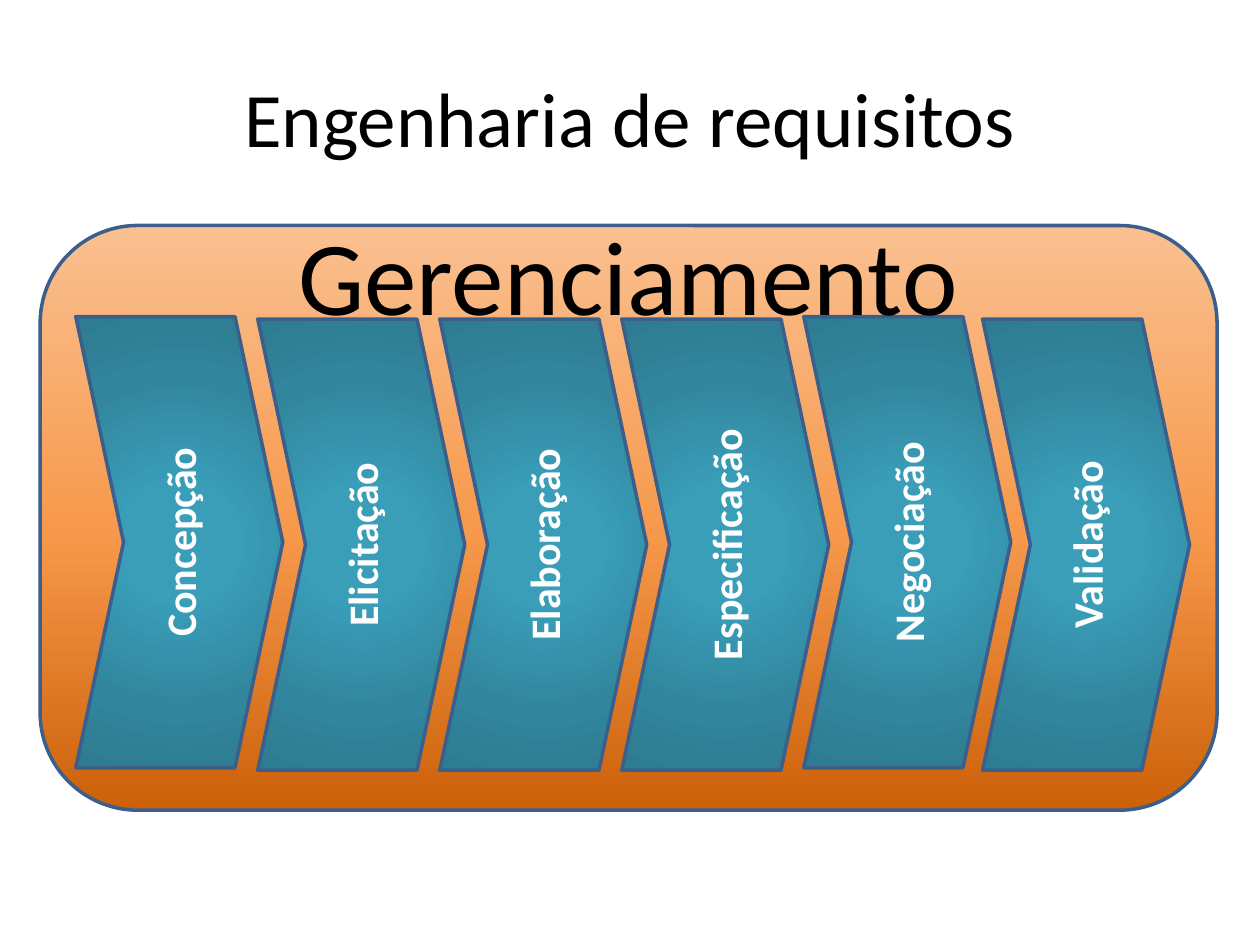
from lxml import etree
from pptx import Presentation
from pptx.dml.color import RGBColor
from pptx.enum.shapes import MSO_SHAPE
from pptx.enum.text import MSO_ANCHOR, MSO_AUTO_SIZE, PP_ALIGN
from pptx.oxml.ns import qn
from pptx.util import Pt

ROUND = MSO_SHAPE.ROUNDED_RECTANGLE
CHEVRON = MSO_SHAPE.CHEVRON
MIDDLE, TOP = MSO_ANCHOR.MIDDLE, MSO_ANCHOR.TOP
CENTER = PP_ALIGN.CENTER
GROW = MSO_AUTO_SIZE.SHAPE_TO_FIT_TEXT

ORANGE = [(0, "CC6109"), (48, "F7994C"), (100, "FAC090")]
TEAL = [(0, "3A9EB9"), (23, "3A9EB9"), (69, "31859C"), (97, "2E7C91")]


def color(code):
    return RGBColor.from_string(code)


class Slide:
    font = "Calibri"
    ink = "000000"
    edge = "3A5F8C"

    def __init__(self, page):
        self.page = page

    def letter(self, frame, text, size, ink, bold=False, anchor=MIDDLE):
        frame.text = text
        frame.vertical_anchor = anchor
        line = frame.paragraphs[0]
        line.alignment = CENTER
        font = line.runs[0].font
        font.name, font.size, font.bold = self.font, Pt(size), bold
        font.color.rgb = color(ink)

    def label(self, box, text, size, wrap=True, anchor=MIDDLE):
        frame = self.page.shapes.add_textbox(*map(Pt, box)).text_frame
        frame.word_wrap = wrap
        if not wrap:
            frame.auto_size = GROW
        self.letter(frame, text, size, self.ink, anchor=anchor)

    def shape(self, kind, box, adjust, stops, angle=None):
        shape = self.page.shapes.add_shape(kind, *map(Pt, box))
        shape.shadow.inherit = False
        shape.adjustments[0] = adjust
        shape.line.color.rgb = color(self.edge)
        shape.line.width = Pt(2)
        self.blend(shape, stops, angle)
        return shape

    def blend(self, shape, stops, angle):
        """Linear gradient at an angle, or circular without one."""
        shape.fill.gradient()
        grad = shape._element.spPr.find(qn("a:gradFill"))
        for child in list(grad):
            grad.remove(child)
        group = etree.SubElement(grad, qn("a:gsLst"))
        for place, code in stops:
            stop = etree.SubElement(group, qn("a:gs"), pos=str(place * 1000))
            etree.SubElement(stop, qn("a:srgbClr"), val=code)
        if angle is not None:
            etree.SubElement(grad, qn("a:lin"), ang=str(angle * 60000), scaled="0")
        else:
            ring = etree.SubElement(grad, qn("a:path"), path="circle")
            half = dict.fromkeys("ltrb", "50000")
            etree.SubElement(ring, qn("a:fillToRect"), **half)

    def step(self, left, top, text):
        shape = self.shape(CHEVRON, (left, top, 118.3, 257.8), 0.231, TEAL)
        frame = shape.text_frame
        self.letter(frame, text, 24, "FFFFFF", bold=True)
        frame._txBody.bodyPr.set("vert", "vert270")


def main():
    deck = Presentation()
    deck.slide_width, deck.slide_height = Pt(720), Pt(540)
    slide = Slide(deck.slides.add_slide(deck.slide_layouts[6]))

    # Management frame and title
    slide.shape(ROUND, (23, 128.9, 672.5, 334.1), 0.1667, ORANGE, 270)
    slide.label((36, 21.6, 648, 90), "Engenharia de requisitos", 44)

    # Process steps: the first and fifth sit higher, the last is nudged left
    high, low = 180.9, 182.3
    steps = [
        ("Concepção", high, 0),
        ("Elicitação", low, 0),
        ("Elaboração", low, 0),
        ("Especificação", low, 0),
        ("Negociação", high, 0),
        ("Validação", low, -1.8),
    ]
    for i, (text, top, nudge) in enumerate(steps):
        slide.step(43.3 + 104 * i + nudge, top, text)

    # Frame heading
    slide.label((161.3, 116.6, 395.3, 79.9), "Gerenciamento", 60, False, TOP)

    deck.save("out.pptx")


if __name__ == "__main__":
    main()
